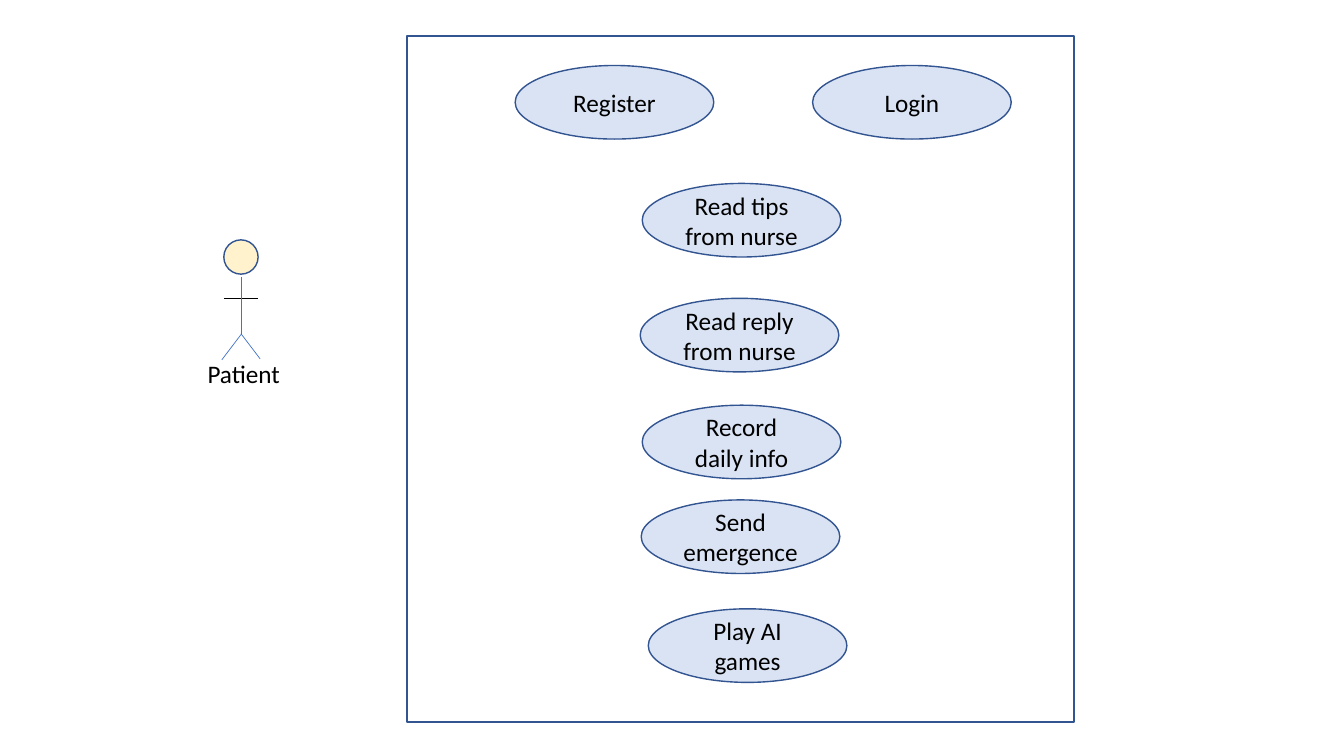
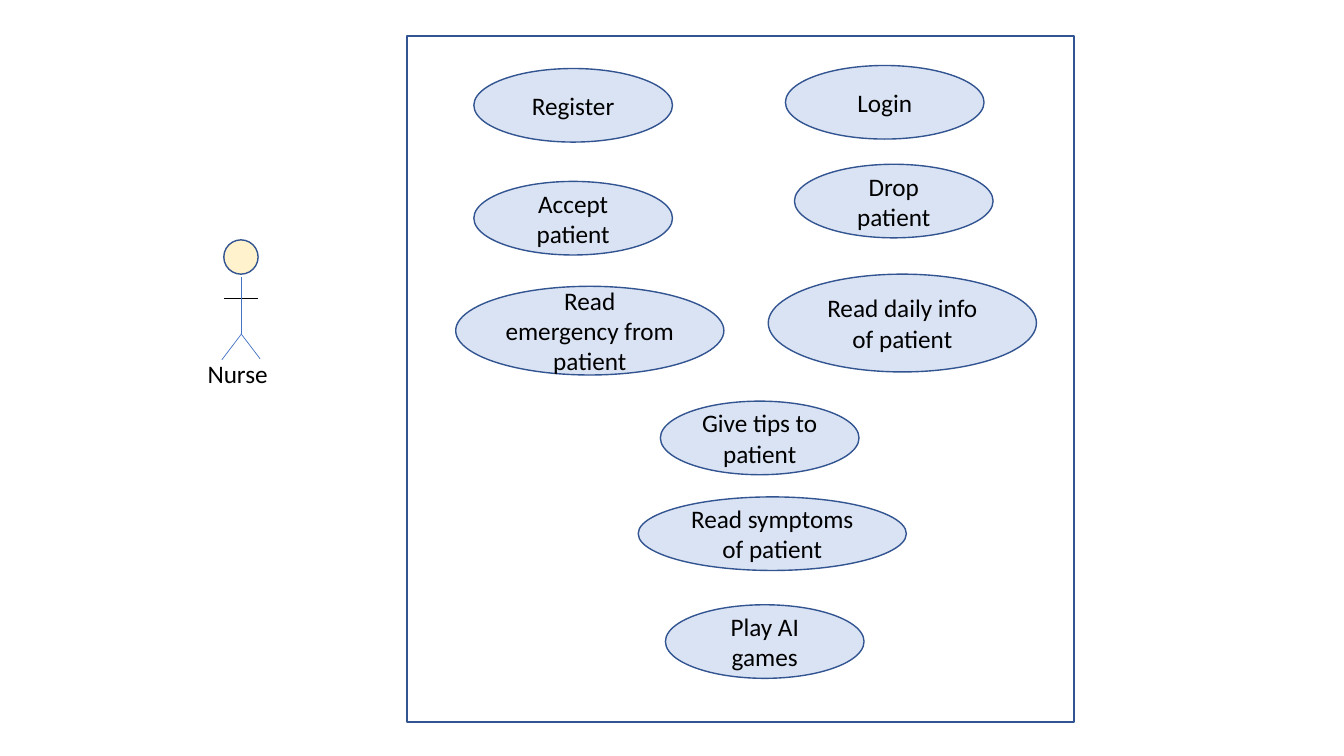
from dataclasses import dataclass
from typing import Any, NamedTuple

from lxml.etree import SubElement
from pptx import Presentation
from pptx.dml.color import RGBColor as Rgb
from pptx.enum.shapes import MSO_CONNECTOR as Link, MSO_SHAPE as Kind
from pptx.enum.text import MSO_ANCHOR as Anchor, MSO_AUTO_SIZE as Fit, PP_ALIGN as Align
from pptx.oxml.ns import qn
from pptx.util import Inches, Pt


@dataclass(frozen=True)
class Theme:
    """Colours, type and line widths shared by both slides."""
    ink: Rgb = Rgb.from_string("000000")
    edge: Rgb = Rgb.from_string("325491")
    limb: Rgb = Rgb.from_string("4472C4")
    oval: Rgb = Rgb.from_string("DAE3F3")
    head: Rgb = Rgb.from_string("FFF2CC")
    font: str = "Calibri"
    size: Pt = Pt(18)
    thin: Pt = Pt(0.5)
    line: Pt = Pt(1)
    frame: Pt = Pt(1.25)


THEME = Theme()


class Box(NamedTuple):
    """A place on the slide, in inches."""
    left: float
    top: float
    width: float
    height: float


class Limb(NamedTuple):
    """A straight stroke of the actor, in inches."""
    x1: float
    y1: float
    x2: float
    y2: float
    color: Rgb = THEME.limb


class Case(NamedTuple):
    """A use case oval with its label."""
    text: str
    left: float
    top: float
    width: float = 1.97
    height: float = 0.73


class Scene(NamedTuple):
    """One slide: an actor and the use cases."""
    actor: str
    cases: tuple[Case, ...]


FRAME = Box(4.04, 0.36, 6.61, 6.8)
HEAD = Box(2.22, 2.38, 0.34, 0.34)
LABEL = Box(1.96, 3.51, 1.08, 0.71)
LIMBS = (
    Limb(2.22, 2.96, 2.56, 2.96, THEME.ink),
    Limb(2.39, 3.32, 2.39, 2.75),
    Limb(2.39, 3.32, 2.2, 3.57),
    Limb(2.39, 3.31, 2.58, 3.56),
)
WIDE = 2.66

SCENES = (
    Scene("Patient", (
        Case("Register", 5.11, 0.65),
        Case("Login", 8.06, 0.65),
        Case("Read tips from nurse", 6.37, 1.82),
        Case("Read reply from nurse", 6.35, 2.96),
        Case("Record daily info", 6.37, 4.02),
        Case("Send emergence", 6.36, 4.96),
        Case("Play AI games", 6.43, 6.04),
    )),
    Scene("Nurse", (
        Case("Accept patient", 4.7, 1.8),
        Case("Login", 7.79, 0.65),
        Case("Read emergency from patient", 4.52, 2.84, WIDE, 0.88),
        Case("Read daily info of patient", 7.62, 2.72, WIDE, 0.97),
        Case("Give tips to patient", 6.55, 3.98),
        Case("Read symptoms of patient", 6.33, 4.93, WIDE),
        Case("Play AI games", 6.6, 6),
        Case("Register", 4.7, 0.68),
        Case("Drop patient", 7.88, 1.63),
    )),
)

TYPE = {"name": THEME.font, "size": THEME.size}
CENTRE = {"word_wrap": True, "vertical_anchor": Anchor.MIDDLE}
GROW = {"word_wrap": True, "auto_size": Fit.SHAPE_TO_FIT_TEXT}


def apply(item: Any, values: dict[str, Any]) -> None:
    """Set each named format value on an item."""
    for name, value in values.items():
        setattr(item, name, value)


def write(shape: Any, text: str, form: dict[str, Any], align: Align) -> None:
    """Put formatted text into a shape."""
    frame = shape.text_frame
    apply(frame, form)
    para = frame.paragraphs[0]
    para.alignment = align
    run = para.add_run()
    run.text = text
    apply(run.font, TYPE)
    run.font.color.rgb = THEME.ink


def stroke(line: Any, color: Rgb, width: Pt) -> None:
    """Colour a line and set its width."""
    line.color.rgb = color
    line.width = width


def draw(shapes: Any, kind: Kind, box: Box, fill: Rgb | None = None,
         width: Pt = THEME.line) -> Any:
    """Add an outlined preset shape, filled if a colour is given."""
    shape = shapes.add_shape(kind, *map(Inches, box))
    shape.shadow.inherit = False
    if fill is None:
        shape.fill.background()
    else:
        shape.fill.solid()
        shape.fill.fore_color.rgb = fill
    stroke(shape.line, THEME.edge, width)
    return shape


def add_limb(shapes: Any, limb: Limb) -> None:
    """Add one stroke of the actor."""
    link = shapes.add_connector(Link.STRAIGHT, *map(Inches, limb[:4]))
    stroke(link.line, limb.color, THEME.thin)
    SubElement(link._element.spPr, qn("a:effectLst"))


def add_actor(shapes: Any, name: str) -> None:
    """Add the grouped stick figure and its name."""
    parts = shapes.add_group_shape().shapes
    draw(parts, Kind.OVAL, HEAD, THEME.head)
    for limb in LIMBS:
        add_limb(parts, limb)
    label = parts.add_textbox(*map(Inches, LABEL))
    write(label, name, GROW, Align.LEFT)


def add_case(shapes: Any, case: Case) -> None:
    """Add one use case oval."""
    oval = draw(shapes, Kind.OVAL, Box(*case[1:]), THEME.oval)
    write(oval, case.text, CENTRE, Align.CENTER)


def add_scene(deck: Any, scene: Scene) -> None:
    """Add a slide with its actor, system frame and use cases."""
    blank = deck.slide_layouts[6]
    shapes = deck.slides.add_slide(blank).shapes
    add_actor(shapes, scene.actor)
    draw(shapes, Kind.RECTANGLE, FRAME, width=THEME.frame)
    for case in scene.cases:
        add_case(shapes, case)


def main() -> None:
    """Build and save the deck."""
    deck = Presentation()
    apply(deck, {"slide_width": Inches(13.33), "slide_height": Inches(7.5)})
    for scene in SCENES:
        add_scene(deck, scene)
    deck.save("out.pptx")


main()
